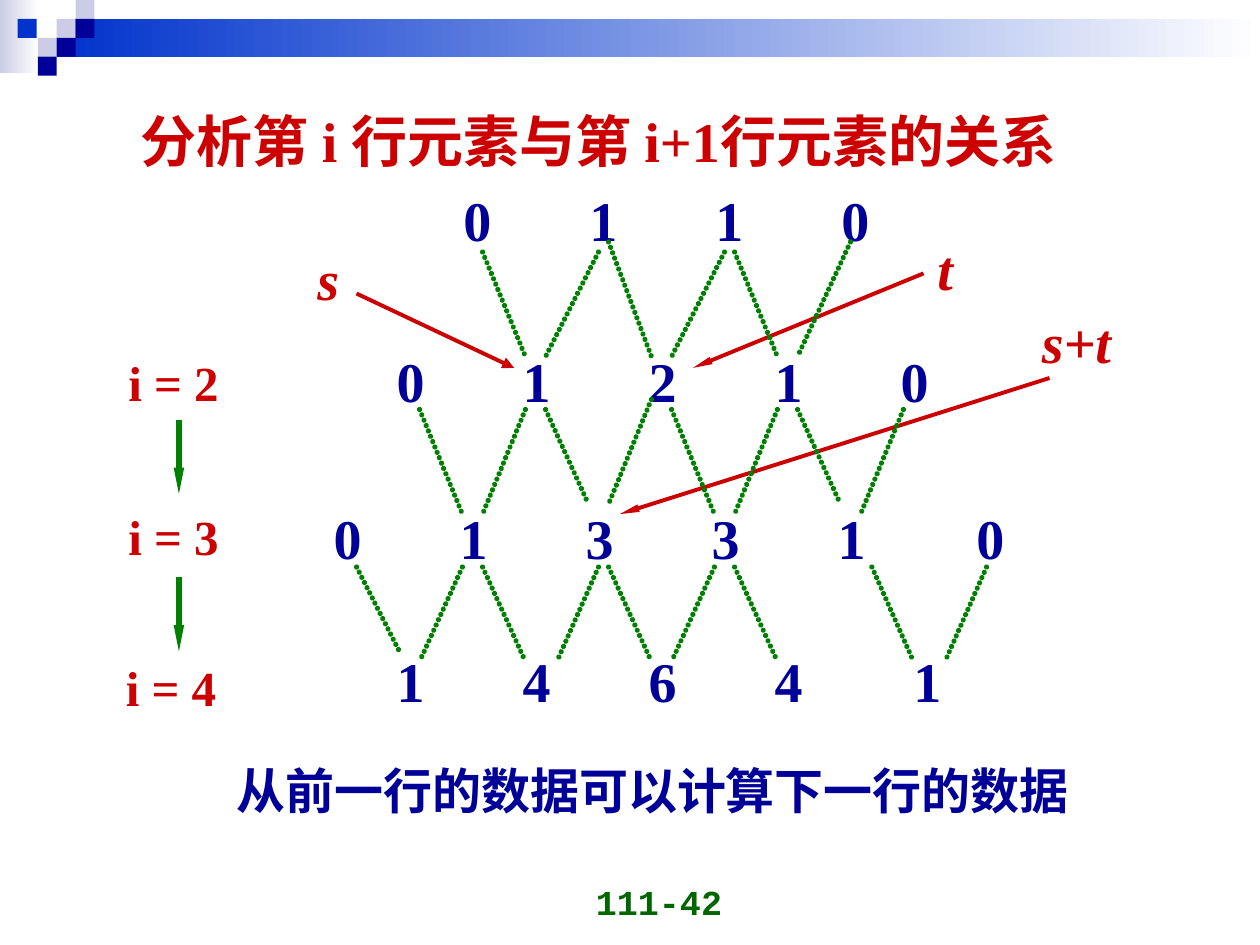
from lxml import etree
from pptx import Presentation
from pptx.dml.color import RGBColor
from pptx.enum.shapes import MSO_CONNECTOR, MSO_SHAPE
from pptx.enum.text import MSO_ANCHOR, MSO_AUTO_SIZE, PP_ALIGN
from pptx.oxml.ns import qn
from pptx.util import Inches, Pt

COLORS = {
    "navy": "000099", "blue": "0033CC", "lavender": "CCCCE6", "white": "FFFFFF",
    "red": "CC0000", "green": "008000", "dark_green": "006600",
}
SERIF = "Times New Roman"

# Decoration squares: left, top, colour
SQUARES = [
    (0.45, 0.15, "lavender"), (0.6, 0, "lavender"), (0.6, 0.15, "navy"),
    (0.3, 0.3, "lavender"), (0.14, 0.15, "blue"), (0.45, 0.3, "navy"),
    (0.3, 0.45, "navy"),
]

# Triangle rows: left, top, numbers, tab stops
TRIANGLE_ROWS = [
    (3.58, 1.42, "0110", [1, 2, 3]),
    (3.05, 2.7, "01210", [1, 2, 3, 4]),
    (2.55, 3.95, "013310", [1, 2, 3, 4, 5.1]),
    (3.05, 5.08, "14641", [1, 2, 3, 4.1]),
]

# Dotted links: (top, bottom) -> pairs of upper and lower x
LINKS = {
    (2, 2.83): [(3.83, 4.17), (5.83, 6.17), (4.75, 4.33), (5.75, 5.33)],
    (1.92, 2.83): [(4.83, 5.17), (6.75, 6.33)],
    (3.25, 4.08): [(3.33, 3.67), (5.33, 5.67), (4.17, 3.83), (6.17, 5.83),
                   (7.17, 6.83)],
    (3.25, 4): [(4.33, 4.67), (6.33, 6.67)],
    (3.17, 4): [(5.17, 4.83)],
    (4.5, 5.25): [(3.83, 4.17), (4.83, 5.17), (5.83, 6.17), (6.92, 7.25),
                  (3.67, 3.33), (4.75, 4.42), (5.67, 5.33), (7.83, 7.5)],
    (4.5, 5.17): [(2.83, 3.17)],
}


def rgb(color):
    return RGBColor.from_string(COLORS[color])


def add_rectangle(slide, left, top, width, height, *colors):
    """One colour gives a solid fill, two a left-to-right gradient."""
    shape = slide.shapes.add_shape(MSO_SHAPE.RECTANGLE, Inches(left), Inches(top),
                                   Inches(width), Inches(height))
    shape.shadow.inherit = False
    shape.line.fill.background()
    if len(colors) == 1:
        shape.fill.solid()
        shape.fill.fore_color.rgb = rgb(colors[0])
    else:
        shape.fill.gradient()
        shape.fill.gradient_angle = 0
        for stop, color in zip(shape.fill.gradient_stops, colors):
            stop.color.rgb = rgb(color)


def add_text(slide, text, left, top, width, height=0.64, size=32, color="red",
             font=SERIF, italic=False, wrap=False, align=PP_ALIGN.LEFT,
             anchor=MSO_ANCHOR.TOP, tabs=()):
    box = slide.shapes.add_textbox(Inches(left), Inches(top),
                                   Inches(width), Inches(height))
    frame = box.text_frame
    frame.word_wrap = wrap
    if not wrap:
        frame.auto_size = MSO_AUTO_SIZE.SHAPE_TO_FIT_TEXT
    frame.vertical_anchor = anchor
    frame.text = text
    paragraph = frame.paragraphs[0]
    paragraph.alignment = align
    if tabs:
        tab_list = etree.SubElement(paragraph._p.get_or_add_pPr(), qn("a:tabLst"))
        for position in tabs:
            etree.SubElement(tab_list, qn("a:tab"), pos=str(Inches(position)), algn="l")
    run_font = paragraph.runs[0].font
    run_font.name, run_font.size = font, Pt(size)
    run_font.bold, run_font.italic = True, italic
    run_font.color.rgb = rgb(color)


def add_line(slide, start, end, color, width):
    line = slide.shapes.add_connector(MSO_CONNECTOR.STRAIGHT,
                                      *map(Inches, start + end))
    line.line.color.rgb = rgb(color)
    line.line.width = Pt(width)
    etree.SubElement(line._element.spPr, qn("a:effectLst"))
    return line


def add_arrow(slide, start, end, color, width, head=("sm", "lg")):
    line = add_line(slide, start, end, color, width)
    etree.SubElement(line.line._get_or_add_ln(), qn("a:tailEnd"),
                     type="triangle", w=head[0], len=head[1])


def add_dotted_line(slide, start, end):
    """Round dots that almost touch."""
    outline = add_line(slide, start, end, "green", 3).line._get_or_add_ln()
    outline.set("cap", "rnd")
    dash = etree.SubElement(outline, qn("a:custDash"))
    etree.SubElement(dash, qn("a:ds"), d="100000", sp="10000")


def main():
    presentation = Presentation()
    presentation.slide_width, presentation.slide_height = Inches(10), Inches(7.5)
    slide = presentation.slides.add_slide(presentation.slide_layouts[6])

    # Header decoration
    add_rectangle(slide, 0, 0, 0.31, 0.58, "lavender", "white")
    add_rectangle(slide, 0.45, 0.15, 9.55, 0.3, "blue", "white")
    for left, top, color in SQUARES:
        add_rectangle(slide, left, top, 0.15, 0.15, color)

    # Page number, title and conclusion
    add_text(slide, "111-42", 3.5, 6.87, 2.33, 0.5, 20, "dark_green", "Courier New",
             wrap=True, align=PP_ALIGN.RIGHT, anchor=MSO_ANCHOR.BOTTOM)
    add_text(slide, "分析第 i 行元素与第 i+1行元素的关系", 1.02, 0.8, 8.13)
    add_text(slide, "从前一行的数据可以计算下一行的数据", 1.18, 5.99, 8, 0.57, 28,
             "navy", wrap=True, align=PP_ALIGN.CENTER)

    # Row labels and the steps between them
    for index, left, top in [(2, 0.92, 2.75), (3, 0.92, 3.97), (4, 0.9, 5.17)]:
        add_text(slide, f"i = {index}", left, top, 0.93, 0.57, 28)
    for top in (3.33, 4.58):
        add_arrow(slide, (1.42, top), (1.42, top + 0.59), "green", 3)

    # Number triangle
    for left, top, numbers, tabs in TRIANGLE_ROWS:
        add_text(slide, "\t".join(numbers), left, top, tabs[-1] + 0.45,
                 color="navy", wrap=True, tabs=tabs)

    # Pointers to s, t and their sum
    add_arrow(slide, (2.83, 2.33), (4.08, 2.92), "red", 2.25, ("med", "med"))
    add_text(slide, "s", 2.42, 1.89, 0.37, italic=True)
    add_arrow(slide, (7.33, 2.17), (5.5, 2.92), "red", 2.25)
    add_text(slide, "t", 7.34, 1.81, 0.32, italic=True)
    add_arrow(slide, (8.33, 3), (4.92, 4.08), "red", 2.25)
    add_text(slide, "s+t", 8.17, 2.39, 0.75, italic=True)

    # Dotted links between rows
    for (top, bottom), pairs in LINKS.items():
        for upper, lower in pairs:
            add_dotted_line(slide, (upper, top), (lower, bottom))

    presentation.save("out.pptx")


if __name__ == "__main__":
    main()
